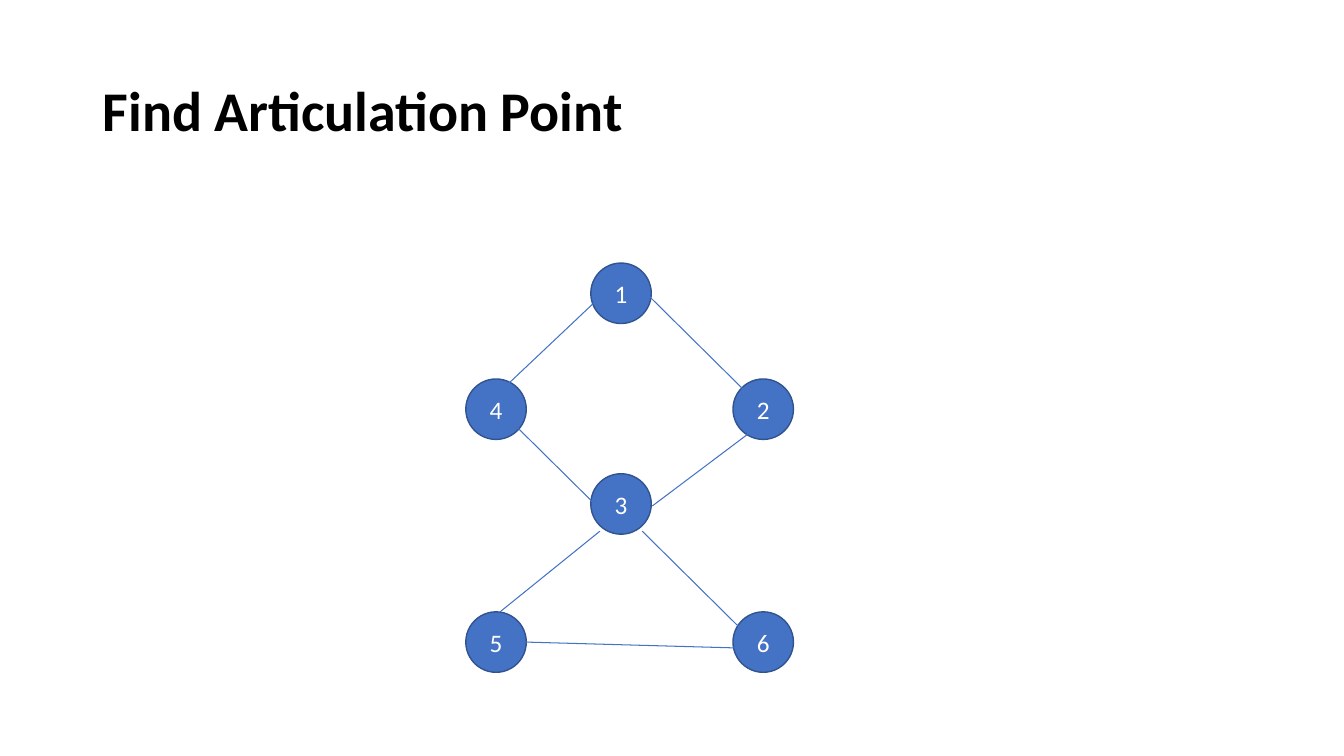
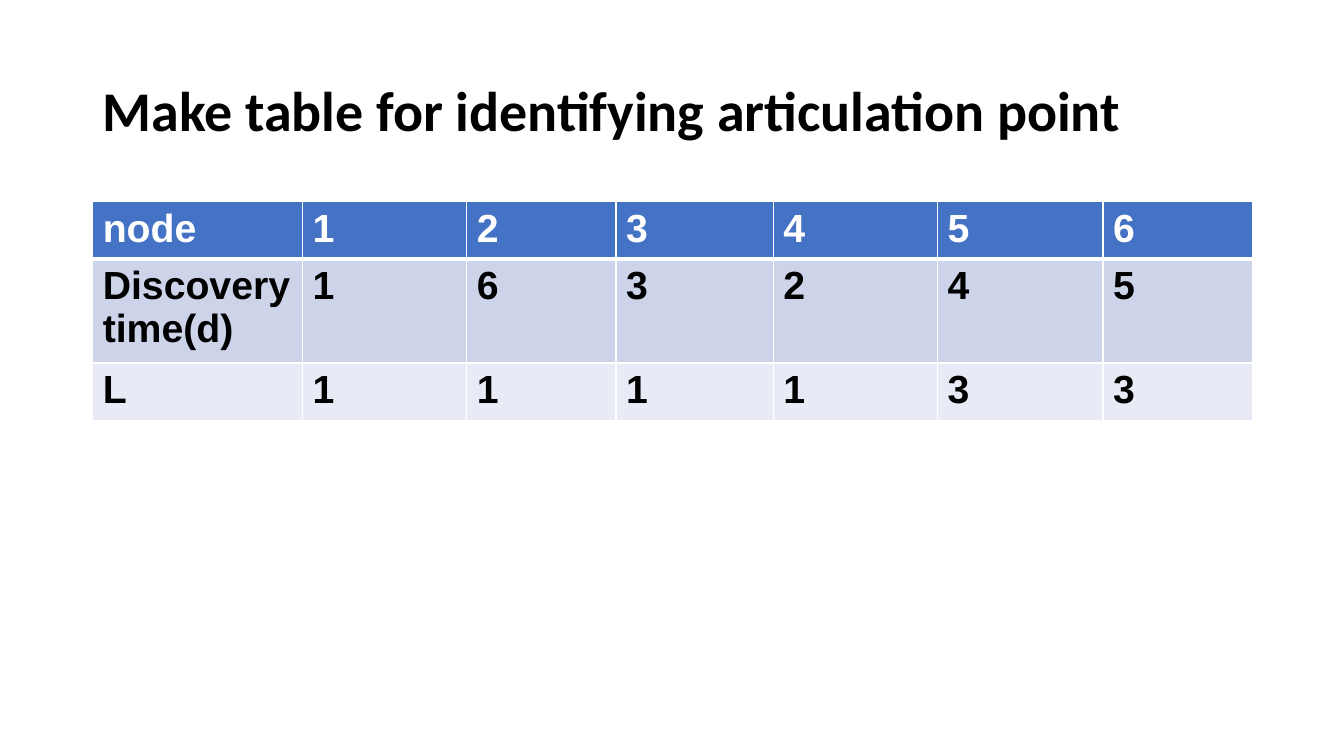
import pptx
import pptx.dml.color
import pptx.enum.shapes
import pptx.enum.text
import pptx.oxml
import pptx.oxml.ns
import pptx.util
from pptx.util import Inches

COLORS = {
    "text": "000000",
    "light": "FFFFFF",
    "accent": "4472C4",
    "outline": "31538F",
    "band_dark": "CDD4EA",
    "band_light": "E8EBF5",
}

NODE_SIZE = 0.6
NODES = {
    "1": (5.86, 2.61),
    "4": (4.62, 3.76),
    "2": (7.27, 3.76),
    "6": (7.27, 6.07),
    "5": (4.62, 6.07),
    "3": (5.86, 4.7),
}
EDGES = [
    ((7.44, 4.29), (6.47, 5.02)),
    ((6.37, 5.27), (7.38, 6.27)),
    ((5.09, 4.2), (6.1, 5.2)),
    ((4.88, 3.96), (5.97, 2.93)),
    ((6.44, 2.94), (7.45, 3.94)),
    ((5.95, 5.27), (4.96, 6.07)),
    ((7.37, 6.43), (5.21, 6.37)),
]
COLUMN_WIDTHS = [2.08, 1.63, 1.48, 1.56, 1.63, 1.64, 1.48]
ROW_HEIGHT = 0.41
ROWS = [
    ["node", "1", "2", "3", "4", "5", "6"],
    ["Discovery time(d)", "1", "6", "3", "2", "4", "5"],
    ["L", "1", "1", "1", "1", "3", "3"],
]


def rgb(name):
    return pptx.dml.color.RGBColor.from_string(COLORS[name])


def write(frame, text, size, color="text", font="Calibri", bold=False,
          align=None, spacing=None):
    """Put one formatted paragraph into a text frame."""
    frame.word_wrap = True
    para = frame.paragraphs[0]
    para.alignment = align
    para.line_spacing = spacing
    span = para.add_run()
    span.text = text
    span.font.size = pptx.util.Pt(size)
    span.font.name = font
    span.font.bold = bold
    span.font.color.rgb = rgb(color)


def set_border(cell, side, width):
    """Draw one white cell border; side is L, R, T or B."""
    cell._tc.get_or_add_tcPr().append(pptx.oxml.parse_xml(
        f'<a:ln{side} {pptx.oxml.ns.nsdecls("a")} w="{pptx.util.Pt(width)}">'
        f'<a:solidFill><a:srgbClr val="{COLORS["light"]}"/></a:solidFill>'
        f'</a:ln{side}>'))


class Deck:
    def __init__(self):
        self.deck = pptx.Presentation()
        self.deck.slide_width = Inches(13.33)
        self.deck.slide_height = Inches(7.5)
        self.page = None

    def add_page(self, title):
        self.page = self.deck.slides.add_slide(self.deck.slide_layouts[6])
        box = self.page.shapes.add_textbox(
            Inches(0.92), Inches(0.4), Inches(11.5), Inches(1.45))
        box.text_frame.vertical_anchor = pptx.enum.text.MSO_ANCHOR.MIDDLE
        write(box.text_frame, title, 40, bold=True, spacing=0.9)

    def add_node(self, label, left, top):
        node = self.page.shapes.add_shape(
            pptx.enum.shapes.MSO_SHAPE.OVAL, Inches(left), Inches(top),
            Inches(NODE_SIZE), Inches(NODE_SIZE))
        node.shadow.inherit = False
        node.fill.solid()
        node.fill.fore_color.rgb = rgb("accent")
        node.line.color.rgb = rgb("outline")
        node.line.width = pptx.util.Pt(1)
        node.text_frame.vertical_anchor = pptx.enum.text.MSO_ANCHOR.MIDDLE
        write(node.text_frame, label, 18, color="light",
              align=pptx.enum.text.PP_ALIGN.CENTER)

    def add_edge(self, start, end):
        edge = self.page.shapes.add_connector(
            pptx.enum.shapes.MSO_CONNECTOR.STRAIGHT,
            *(Inches(value) for value in start + end))
        edge.line.color.rgb = rgb("accent")
        edge.line.width = pptx.util.Pt(0.75)
        edge._element.spPr.append(pptx.oxml.parse_xml(
            f'<a:effectLst {pptx.oxml.ns.nsdecls("a")}/>'))

    def add_table(self, rows, left, top):
        table = self.page.shapes.add_table(
            len(rows), len(COLUMN_WIDTHS), Inches(left), Inches(top),
            Inches(sum(COLUMN_WIDTHS)), Inches(ROW_HEIGHT * len(rows))).table
        for column, width in zip(table.columns, COLUMN_WIDTHS):
            column.width = Inches(width)
        fills = ["accent", "band_dark", "band_light"]
        for row_index, row in enumerate(rows):
            header = row_index == 0
            borders = {"L": 1, "R": 1, "T": 3 if row_index == 1 else 1,
                       "B": 3 if header else 1}
            for column_index, text in enumerate(row):
                cell = table.cell(row_index, column_index)
                for side, width in borders.items():
                    set_border(cell, side, width)
                cell.fill.solid()
                cell.fill.fore_color.rgb = rgb(fills[row_index])
                write(cell.text_frame, text, 28, font="Arial", bold=True,
                      color="light" if header else "text")


def main():
    deck = Deck()

    deck.add_page("Find Articulation Point")
    for label, (left, top) in NODES.items():
        deck.add_node(label, left, top)
    for start, end in EDGES:
        deck.add_edge(start, end)

    deck.add_page("Make table for identifying articulation point")
    deck.add_table(ROWS, 0.92, 2)

    deck.deck.save("out.pptx")


if __name__ == "__main__":
    main()
